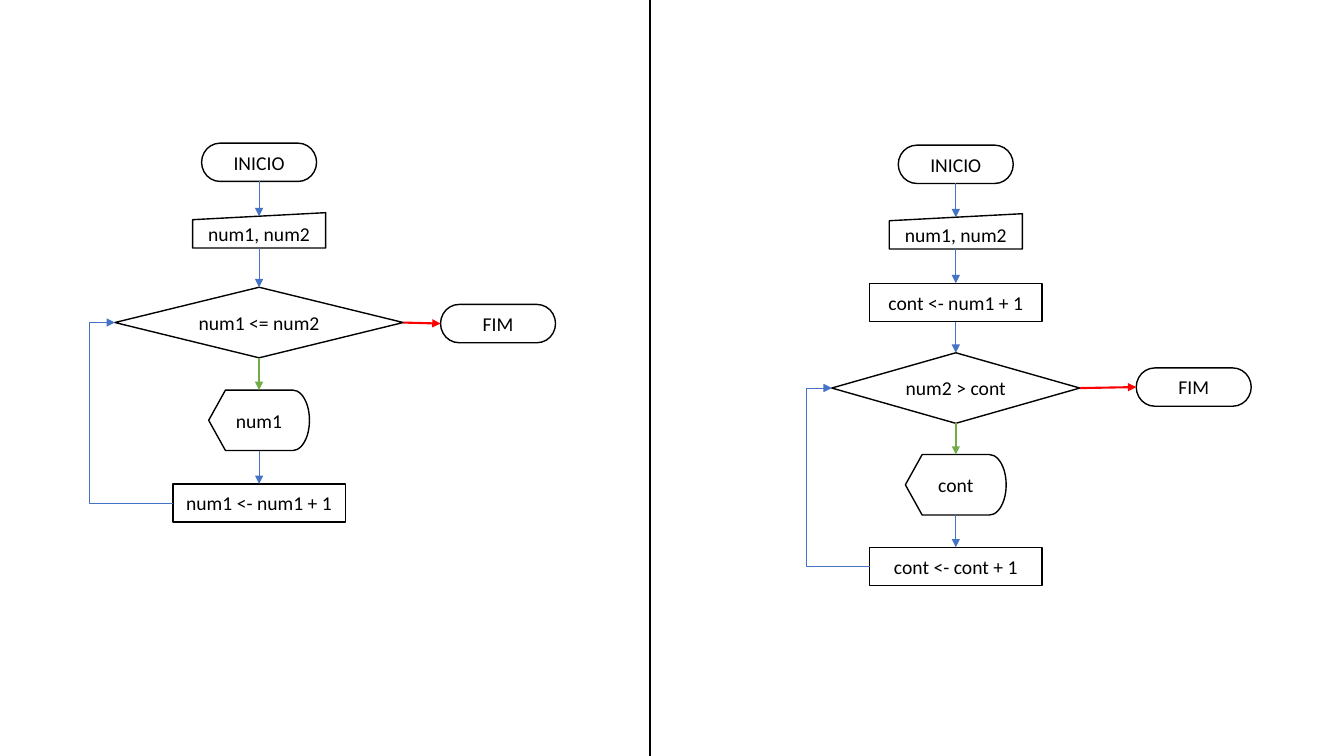
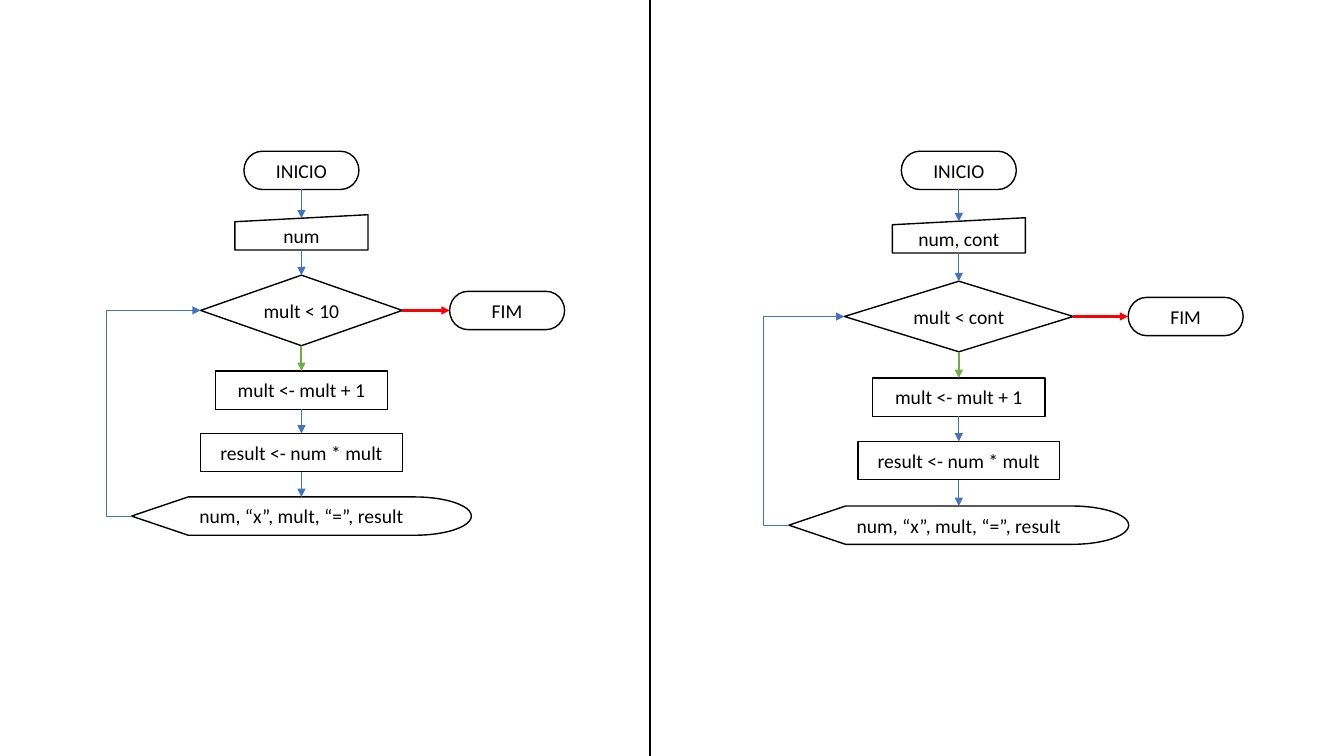
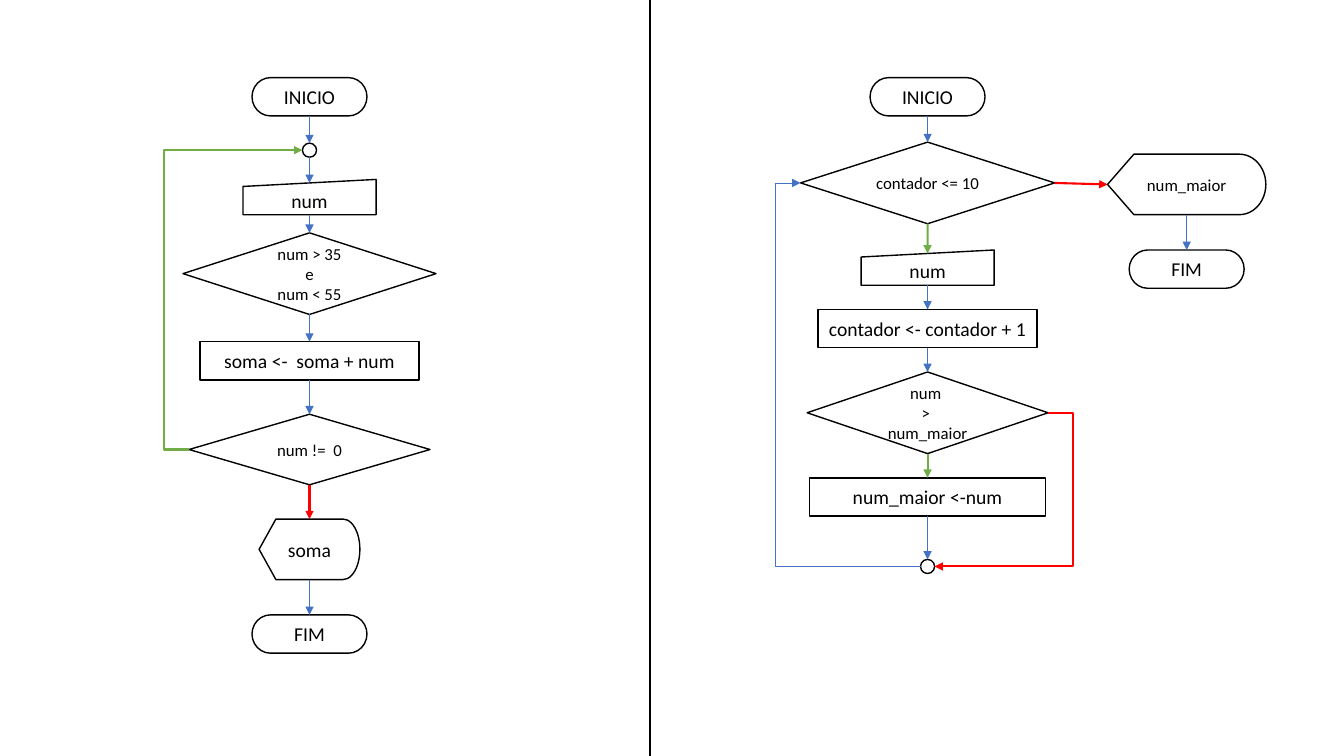
from dataclasses import dataclass

from lxml import etree
from pptx import Presentation
from pptx.dml.color import RGBColor
from pptx.enum import shapes, text
from pptx.oxml import ns
from pptx.util import Inches, Pt

BLACK = RGBColor(0x00, 0x00, 0x00)
BLUE = RGBColor(0x44, 0x72, 0xC4)
GREEN = RGBColor(0x70, 0xAD, 0x47)
RED = RGBColor(0xFF, 0x00, 0x00)

FONT = "Calibri"
PAGE_WIDTH, PAGE_HEIGHT = 13.33, 7.5
DIVIDER_X = 6.45
DETOUR = 0.25  # how far a bent arrow runs outside the shapes it joins
TOP, LEFT, BOTTOM, RIGHT = range(4)

# kind: preset shape, default width, default height
KINDS = {
    "terminal": (shapes.MSO_SHAPE.FLOWCHART_TERMINATOR, 1.14, 0.38),
    "input": (shapes.MSO_SHAPE.FLOWCHART_MANUAL_INPUT, 1.32, 0.35),
    "decision": (shapes.MSO_SHAPE.FLOWCHART_DECISION, 2.5, 0.7),
    "process": (shapes.MSO_SHAPE.FLOWCHART_PROCESS, 1.71, 0.38),
    "display": (shapes.MSO_SHAPE.FLOWCHART_DISPLAY, 1, 0.6),
    "join": (shapes.MSO_SHAPE.OVAL, 0.14, 0.14),
}


@dataclass
class Step:
    kind: str
    label: str
    top: float
    width: float = 0
    height: float = 0
    size: int = 14
    down: RGBColor = BLUE  # colour of the arrow to the next step


# A flowchart has columns (centre x, steps from top to bottom) and extra
# arrows ((column, step), side, (column, step), side, colour).
FLOWCHARTS = [
    [
        {
            "columns": [
                (2.57, [
                    Step("terminal", "INICIO", 1.42),
                    Step("input", "num1, num2", 2.11),
                    Step("decision", "num1 <= num2", 2.85, 2.86, down=GREEN),
                    Step("display", "num1", 3.87),
                    Step("process", "num1 <- num1 + 1", 4.8),
                ]),
                (4.94, [Step("terminal", "FIM", 3.02)]),
            ],
            "arrows": [
                ((0, 2), RIGHT, (1, 0), LEFT, RED),
                ((0, 4), LEFT, (0, 2), LEFT, BLUE),
            ],
        },
        {
            "columns": [
                (9.48, [
                    Step("terminal", "INICIO", 1.44),
                    Step("input", "num1, num2", 2.12),
                    Step("process", "cont <- num1 + 1", 2.81),
                    Step("decision", "num2 > cont", 3.5, 2.46, down=GREEN),
                    Step("display", "cont", 4.51),
                    Step("process", "cont <- cont + 1", 5.43),
                ]),
                (11.84, [Step("terminal", "FIM", 3.65)]),
            ],
            "arrows": [
                ((0, 3), RIGHT, (1, 0), LEFT, RED),
                ((0, 5), LEFT, (0, 3), LEFT, BLUE),
            ],
        },
    ],
    [
        {
            "columns": [
                (2.99, [
                    Step("terminal", "INICIO", 1.5),
                    Step("input", "num", 2.13),
                    Step("decision", "mult < 10", 2.73, 2, down=GREEN),
                    Step("process", "mult <- mult + 1", 3.68),
                    Step("process", "result <- num * mult", 4.3, 2),
                    Step("display", "num, “x”, mult, “=”, result", 4.93, 3.37, 0.38),
                ]),
                (5.03, [Step("terminal", "FIM", 2.89)]),
            ],
            "arrows": [
                ((0, 2), RIGHT, (1, 0), LEFT, RED),
                ((0, 5), LEFT, (0, 2), LEFT, BLUE),
            ],
        },
        {
            "columns": [
                (9.51, [
                    Step("terminal", "INICIO", 1.5),
                    Step("input", "num, cont", 2.16),
                    Step("decision", "mult < cont", 2.79, 2.27, down=GREEN),
                    Step("process", "mult <- mult + 1", 3.75),
                    Step("process", "result <- num * mult", 4.38, 2),
                    Step("display", "num, “x”, mult, “=”, result", 5.02, 3.37, 0.38),
                ]),
                (11.76, [Step("terminal", "FIM", 2.95)]),
            ],
            "arrows": [
                ((0, 2), RIGHT, (1, 0), LEFT, RED),
                ((0, 5), LEFT, (0, 2), LEFT, BLUE),
            ],
        },
    ],
    [
        {
            "columns": [
                (3.07, [
                    Step("terminal", "INICIO", 0.77),
                    Step("join", "", 1.42),
                    Step("input", "num", 1.78),
                    Step("decision", "num > 35\n e \nnum < 55", 2.31, 2.51, 0.81, 12),
                    Step("process", "soma <-  soma + num", 3.39, 2.17),
                    Step("decision", "num !=  0", 4.11, 2.39, size=12, down=RED),
                    Step("display", "soma", 5.15),
                    Step("terminal", "FIM", 6.1),
                ]),
            ],
            "arrows": [((0, 5), LEFT, (0, 1), LEFT, GREEN)],
        },
        {
            "columns": [
                (9.2, [
                    Step("terminal", "INICIO", 0.77),
                    Step("decision", "contador <= 10", 1.41, 2.52, 0.81, 12, GREEN),
                    Step("input", "num", 2.48),
                    Step("process", "contador <- contador + 1", 3.07, 2.17),
                    Step("decision", "num \n> \nnum_maior", 3.69, 2.39, 0.81, 12, GREEN),
                    Step("process", "num_maior <-num", 4.74, 2.34),
                    Step("join", "", 5.55),
                ]),
                (11.77, [
                    Step("display", "num_maior", 1.53, 1.57, size=12),
                    Step("terminal", "FIM", 2.48),
                ]),
            ],
            "arrows": [
                ((0, 1), RIGHT, (1, 0), LEFT, RED),
                ((0, 4), RIGHT, (0, 6), RIGHT, RED),
                ((0, 6), LEFT, (0, 1), LEFT, BLUE),
            ],
        },
    ],
]


def add_step(page, axis, step):
    preset, width, height = KINDS[step.kind]
    width, height = step.width or width, step.height or height
    box = page.shapes.add_shape(preset, Inches(axis - width / 2), Inches(step.top),
                                Inches(width), Inches(height))
    box.shadow.inherit = False
    box.fill.background()
    box.line.color.rgb = BLACK
    box.line.width = Pt(1)
    frame = box.text_frame
    frame.vertical_anchor = text.MSO_ANCHOR.MIDDLE
    for number, line in enumerate(step.label.split("\n") if step.label else []):
        para = frame.add_paragraph() if number else frame.paragraphs[0]
        para.alignment = text.PP_ALIGN.CENTER
        span = para.add_run()
        span.text = line
        span.font.name = FONT
        span.font.size = Pt(step.size)
        span.font.color.rgb = BLACK
    return box


def side_point(box, side):
    middle_x, middle_y = box.left + box.width // 2, box.top + box.height // 2
    top = box.top
    if box.auto_shape_type == shapes.MSO_SHAPE.FLOWCHART_MANUAL_INPUT:
        top += box.height // 10  # the middle of its slanted edge
    return {
        TOP: (middle_x, top),
        LEFT: (box.left, middle_y),
        BOTTOM: (middle_x, box.top + box.height),
        RIGHT: (box.left + box.width, middle_y),
    }[side]


def add_line(page, kind, start, end, colour, width):
    line = page.shapes.add_connector(kind, *start, *end)
    line.line.color.rgb = colour
    line.line.width = Pt(width)
    etree.SubElement(line._element.spPr, ns.qn("a:effectLst"))
    return line


def can_join(box, side):
    """Tell whether the side's middle is a plain connection site."""
    kind = box.auto_shape_type
    slanted = kind == shapes.MSO_SHAPE.FLOWCHART_MANUAL_INPUT and side == TOP
    return kind != shapes.MSO_SHAPE.OVAL and not slanted


def add_arrow(page, source, source_side, target, target_side, colour):
    """Join two boxes; an arrow between equal sides bends round them."""
    start, end = side_point(source, source_side), side_point(target, target_side)
    bent = source_side == target_side
    kind = shapes.MSO_CONNECTOR.ELBOW if bent else shapes.MSO_CONNECTOR.STRAIGHT
    arrow = add_line(page, kind, start, end, colour, 0.5 if colour == BLUE else 1.5)
    if can_join(source, source_side):
        arrow.begin_connect(source, source_side)
    if can_join(target, target_side):
        arrow.end_connect(target, target_side)
    properties = arrow._element.spPr
    etree.SubElement(properties.find(ns.qn("a:ln")), ns.qn("a:tailEnd"), type="triangle")
    if bent:
        xs = start[0], end[0]
        bend = min(xs) - Inches(DETOUR) if source_side == LEFT else max(xs) + Inches(DETOUR)
        share = round((bend - start[0]) / (end[0] - start[0]) * 100000)
        guides = properties.find(ns.qn("a:prstGeom")).get_or_add_avLst()
        etree.SubElement(guides, ns.qn("a:gd"), name="adj1", fmla=f"val {share}")


def add_flowchart(page, columns, arrows):
    boxes = [[add_step(page, axis, step) for step in steps] for axis, steps in columns]
    for (_, steps), column in zip(columns, boxes):
        for step, upper, lower in zip(steps, column, column[1:]):
            add_arrow(page, upper, BOTTOM, lower, TOP, step.down)
    for (col, row), side, (to_col, to_row), to_side, colour in arrows:
        add_arrow(page, boxes[col][row], side, boxes[to_col][to_row], to_side, colour)


def main():
    deck = Presentation()
    deck.slide_width, deck.slide_height = Inches(PAGE_WIDTH), Inches(PAGE_HEIGHT)
    blank = deck.slide_layouts.get_by_name("Blank")
    for pair in FLOWCHARTS:
        page = deck.slides.add_slide(blank)
        add_line(page, shapes.MSO_CONNECTOR.STRAIGHT, (Inches(DIVIDER_X), 0),
                 (Inches(DIVIDER_X), Inches(PAGE_HEIGHT)), BLACK, 1.5)
        for flowchart in pair:
            add_flowchart(page, **flowchart)
    deck.save("out.pptx")


if __name__ == "__main__":
    main()
